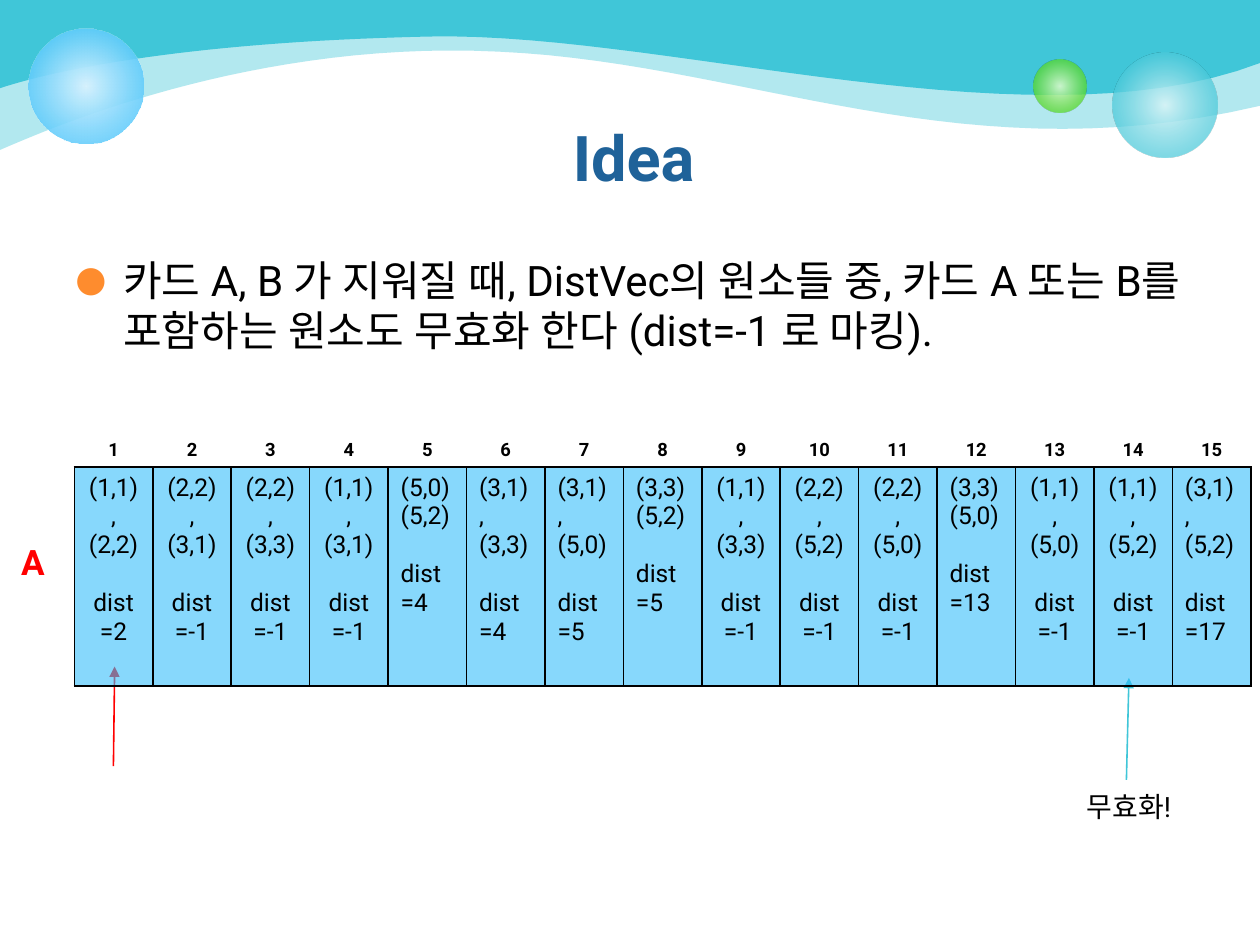
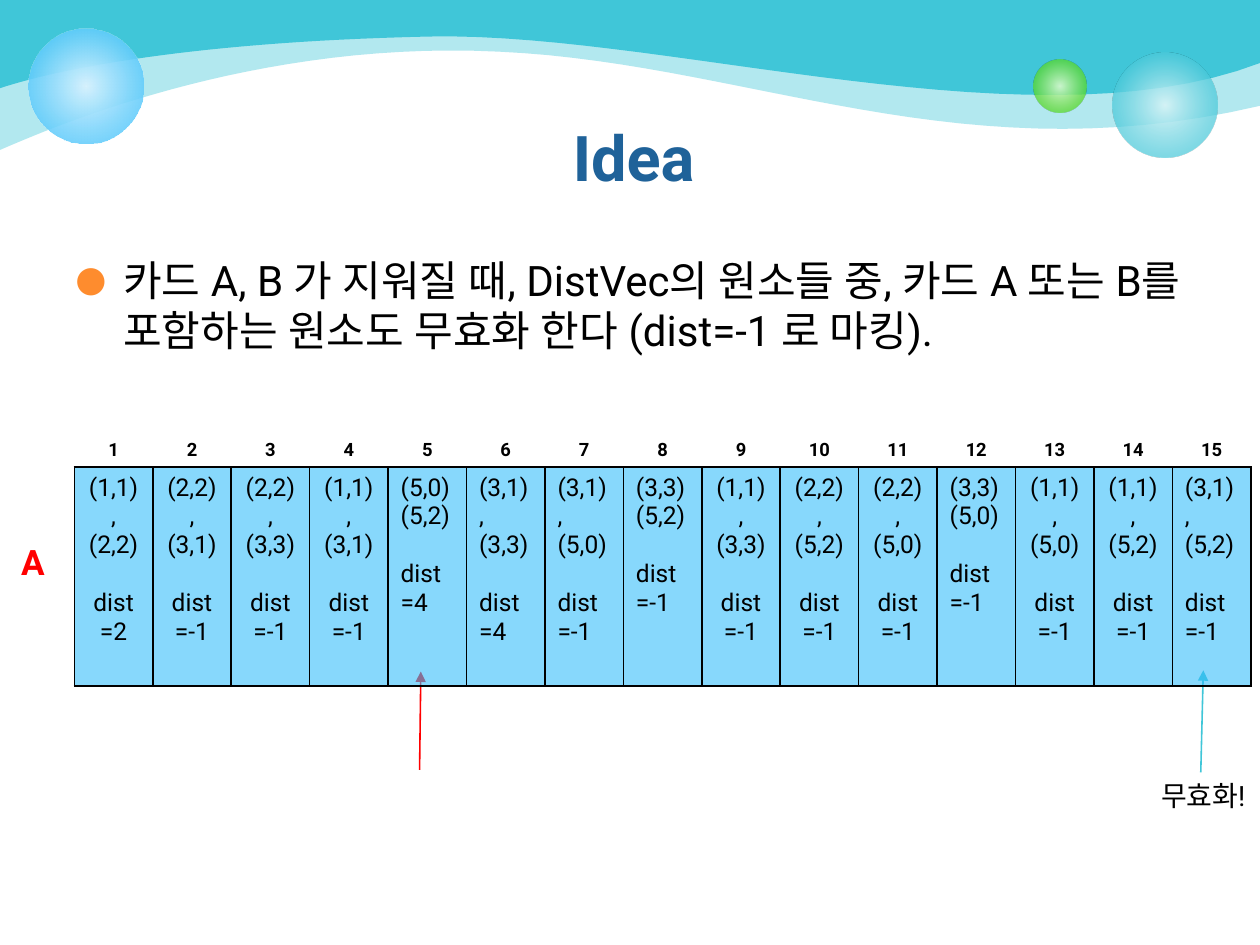
import pptx
import pptx.dml.color
import pptx.enum.shapes
import pptx.enum.text
import pptx.oxml.ns
import pptx.util
from lxml import etree
from pptx.util import Inches

FONT = "Roboto"
WHITE, BLACK, RED = "FFFFFF", "000000", "FF0000"
AQUA, SKY, GREEN, NAVY, ORANGE = "40C6D8", "33BDFB", "4CD416", "1F6299", "FE8C2E"
CENTER = pptx.enum.text.PP_ALIGN.CENTER
LEFT = pptx.enum.text.PP_ALIGN.LEFT

IDEA = ("카드 A, B 가 지워질 때, DistVec의 원소들 중, 카드 A 또는 B를 포함하는 "
        "원소도 무효화 한다 (dist=-1 로 마킹).")
CARD_PAIRS = [
    ("(1,1),", "(2,2)"), ("(2,2),", "(3,1)"), ("(2,2),", "(3,3)"),
    ("(1,1),", "(3,1)"), ("(5,0)", "(5,2)"), ("(3,1),", "(3,3)"),
    ("(3,1),", "(5,0)"), ("(3,3)", "(5,2)"), ("(1,1),", "(3,3)"),
    ("(2,2),", "(5,2)"), ("(2,2),", "(5,0)"), ("(3,3)", "(5,0)"),
    ("(1,1),", "(5,0)"), ("(1,1),", "(5,2)"), ("(3,1),", "(5,2)"),
]
LEFT_ALIGNED = {5, 6, 7, 8, 12, 15}

# Each wave: start point, then cubic segments of two control points and an end
WAVES = [
    ((0, 1.19), [((0.33, 1.05), (1.97, 0.31), (3.96, 0.41)),
                 ((5.95, 0.5), (7.62, 1.4), (10, 0.84))], 40),
    ((0, 0.7), [((0.45, 0.55), (1.53, 0.33), (3.41, 0.29)),
                ((5.29, 0.25), (8.2, 1.19), (10, 0.5))], 100),
]
# Each bubble: left, top, diameter, then gradient stops (position, colour, opacity)
BUBBLES = [
    (8.83, 0.42, 0.83, [(0, "D9F4F7", 90), (76, AQUA, 70)]),
    (8.2, 0.47, 0.42, [(0, "DAFACD", 90), (76, GREEN, 70)]),
    (0.23, 0.23, 0.91, [(0, "D6F2FE", 100), (100, SKY, 80)]),
]


def color(value):
    return pptx.dml.color.RGBColor.from_string(value)


def add_xml(parent, tag, **attributes):
    child = etree.SubElement(parent, pptx.oxml.ns.qn(tag))
    for name, value in attributes.items():
        child.set(name, str(value))
    return child


def set_opacity(holder, percent):
    """Make the solid fill directly inside the holder element translucent."""
    solid = holder.find(pptx.oxml.ns.qn("a:solidFill"))
    add_xml(solid[0], "a:alpha", val=percent * 1000)


def curve_points(start, segments, steps=30):
    """Sample a chain of cubic Bezier segments."""
    points = [start]
    for first, second, end in segments:
        for step in range(1, steps + 1):
            t = step / steps
            weights = ((1 - t) ** 3, 3 * t * (1 - t) ** 2, 3 * t * t * (1 - t), t ** 3)
            corners = (start, first, second, end)
            points.append(tuple(sum(w * corner[axis] for w, corner in zip(weights, corners))
                                for axis in (0, 1)))
        start = end
    return points


class SlideBuilder:
    def __init__(self):
        self.deck = pptx.Presentation()
        self.deck.slide_width = Inches(10)
        self.deck.slide_height = Inches(7.5)
        self.page = None

    def new_page(self):
        self.page = self.deck.slides.add_slide(self.deck.slide_layouts[6])
        for start, segments, opacity in WAVES:
            self.wave(start, segments, opacity)
        for bubble in BUBBLES:
            self.bubble(*bubble)

    def wave(self, start, segments, opacity):
        points = [(Inches(x), Inches(y)) for x, y in curve_points(start, segments)]
        builder = self.page.shapes.build_freeform(0, 0)
        builder.add_line_segments(points + [(Inches(10), 0)], close=True)
        shape = builder.convert_to_shape()
        shape.shadow.inherit = False
        shape.fill.solid()
        shape.fill.fore_color.rgb = color(AQUA)
        set_opacity(shape._element.spPr, opacity)
        shape.line.fill.background()

    def bubble(self, left, top, diameter, stops):
        shape = self.page.shapes.add_shape(
            pptx.enum.shapes.MSO_SHAPE.OVAL,
            Inches(left), Inches(top), Inches(diameter), Inches(diameter))
        shape.shadow.inherit = False
        shape.line.fill.background()
        shape.fill.gradient()
        gradient = shape._element.spPr.find(pptx.oxml.ns.qn("a:gradFill"))
        for child in list(gradient):
            gradient.remove(child)
        stop_list = add_xml(gradient, "a:gsLst")
        for position, value, opacity in stops:
            stop = add_xml(stop_list, "a:gs", pos=position * 1000)
            add_xml(add_xml(stop, "a:srgbClr", val=value), "a:alpha", val=opacity * 1000)
        circle = add_xml(gradient, "a:path", path="circle")
        add_xml(circle, "a:fillToRect", l=50000, t=50000, r=50000, b=50000)

    def add_span(self, para, text, size, value=BLACK, bold=False, align=LEFT):
        para.alignment = align
        span = para.add_run()
        span.text = text
        styles = {"name": FONT, "size": pptx.util.Pt(size), "bold": bold}
        for name, setting in styles.items():
            setattr(span.font, name, setting)
        span.font.color.rgb = color(value)
        add_xml(span.font._element, "a:ea", typeface=FONT)

    def text(self, left, top, width, height, text, size, wrap=True, **style):
        box = self.page.shapes.add_textbox(
            Inches(left), Inches(top), Inches(width), Inches(height))
        box.text_frame.word_wrap = wrap
        para = box.text_frame.paragraphs[0]
        self.add_span(para, text, size, **style)
        return para

    def bullet(self, *place, text, size):
        para = self.text(*place, text, size)
        properties = para._p.get_or_add_pPr()
        properties.set("marL", str(Inches(0.38)))
        properties.set("indent", str(-Inches(0.38)))
        add_xml(add_xml(properties, "a:buClr"), "a:srgbClr", val=ORANGE)
        add_xml(properties, "a:buSzPct", val=85000)
        add_xml(properties, "a:buFont", typeface=FONT)
        add_xml(properties, "a:buChar", char="●")

    def arrow(self, start, end, value):
        connector = self.page.shapes.add_connector(
            pptx.enum.shapes.MSO_CONNECTOR.STRAIGHT,
            *(Inches(length) for length in start + end))
        connector.line.color.rgb = color(value)
        connector.line.width = pptx.util.Pt(0.9)
        add_xml(connector.line._get_or_add_ln(), "a:tailEnd", type="triangle")
        add_xml(connector._element.spPr, "a:effectLst")

    def style_cell(self, cell, fill, opacity, borders):
        """Draw the borders (left, right, top, bottom colours), then the fill."""
        properties = cell._tc.get_or_add_tcPr()
        for side, value in zip("LRTB", borders):
            line = add_xml(properties, f"a:ln{side}", w=pptx.util.Pt(1))
            add_xml(add_xml(line, "a:solidFill"), "a:srgbClr", val=value)
        cell.fill.solid()
        cell.fill.fore_color.rgb = color(fill)
        set_opacity(properties, opacity)

    def distance_table(self, distances):
        count = len(distances)
        table = self.page.shapes.add_table(
            2, count, Inches(0.59), Inches(3.43), Inches(9.34), Inches(2.01)).table
        table.first_row = table.horz_banding = False
        for row, height in zip(table.rows, (0.27, 1.74)):
            row.height = Inches(height)
        for index, (cards, distance) in enumerate(zip(CARD_PAIRS, distances)):
            table.columns[index].width = Inches(9.34 / count)
            header, body = table.cell(0, index), table.cell(1, index)
            self.style_cell(header, WHITE, 100, (WHITE, WHITE, WHITE, BLACK))
            self.style_cell(body, SKY, 59, [BLACK] * 4)
            header.vertical_anchor = pptx.enum.text.MSO_ANCHOR.BOTTOM
            number = index + 1
            self.add_span(header.text_frame.paragraphs[0], str(number), 10.5,
                          bold=True, align=CENTER)
            align = LEFT if number in LEFT_ALIGNED else CENTER
            frame = body.text_frame
            paras = [frame.paragraphs[0], frame.add_paragraph(), frame.add_paragraph()]
            for para, line in zip(paras, (*cards, f"dist={distance}")):
                self.add_span(para, line, 14, align=align)
            paras[-1].space_before = pptx.util.Pt(16.5)

    def idea_page(self, distances, current, invalid, label):
        """Arrows are (start, end) pairs; label is the place of the invalid mark."""
        self.new_page()
        self.text(0.53, 0.89, 9, 1.25, "Idea", 36, value=NAVY, bold=True, align=CENTER)
        self.bullet(0.5, 1.97, 9.22, 2.35, text=IDEA, size=24)
        self.text(0.07, 4.24, 0.43, 0.44, "A", 20, value=RED, bold=True)
        self.arrow(*current, RED)
        self.arrow(*invalid, AQUA)
        self.text(*label, 0.92, 0.37, "무효화!", 16, wrap=False, align=CENTER)
        self.distance_table(distances)


def main():
    builder = SlideBuilder()
    builder.idea_page(
        [2, -1, -1, -1, 4, 4, 5, 5, -1, -1, -1, 13, -1, -1, 17],
        current=((0.9, 6.08), (0.91, 5.29)),
        invalid=((8.94, 6.19), (8.96, 5.38)),
        label=(8.5, 6.22))
    builder.idea_page(
        [2, -1, -1, -1, 4, 4] + [-1] * 9,
        current=((3.33, 6.11), (3.34, 5.33)),
        invalid=((9.53, 6.13), (9.55, 5.32)),
        label=(9.09, 6.13))
    builder.deck.save("out.pptx")


if __name__ == "__main__":
    main()
